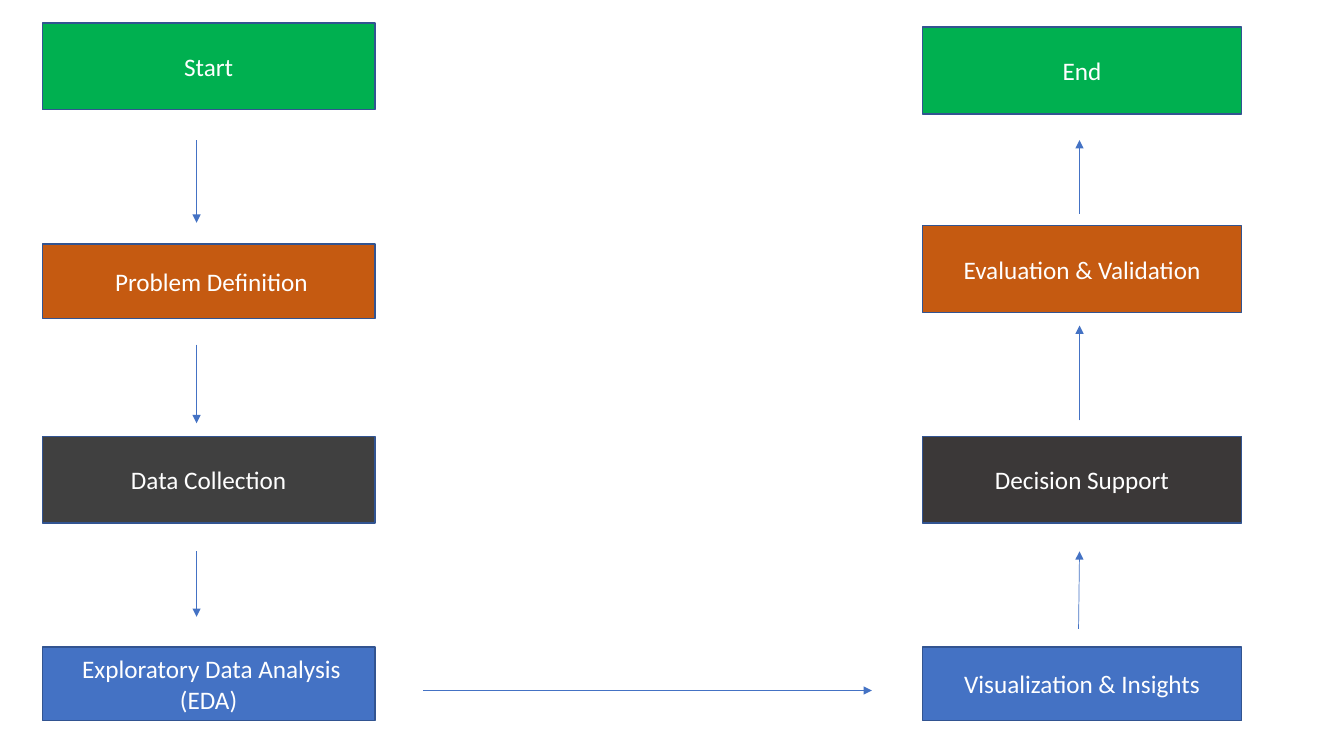
from dataclasses import dataclass

import lxml.etree
import pptx
import pptx.dml.color
import pptx.enum.shapes
import pptx.enum.text
import pptx.oxml.ns
import pptx.shapes.connector
import pptx.slide
import pptx.util

Pt = pptx.util.Pt

GREEN = "00B050"
ORANGE = "C55A11"
BLUE = "4472C4"
OUTLINE = "325491"
WHITE = "FFFFFF"

TALL = 61.92
SHORT = 52.56


@dataclass(frozen=True)
class Column:
    left: float
    width: float


@dataclass(frozen=True)
class Step:
    text: str
    column: Column
    top: float
    height: float
    fill: str


@dataclass(frozen=True)
class Arrow:
    start_x: float
    start_y: float
    end_x: float
    end_y: float


DOWNWARD = Column(30.24, 237.6)
UPWARD = Column(658.8, 228.24)
DOWN_X = 140.4
UP_X = 771.12
ACROSS_Y = 493.2

STEPS = [
    Step("Start", DOWNWARD, 16.56, TALL, GREEN),
    Step(" Problem Definition", DOWNWARD, 174.24, 53.28, ORANGE),
    Step("Data Collection", DOWNWARD, 311.76, TALL, "404040"),
    Step(" Exploratory Data Analysis (EDA)", DOWNWARD, 462.24, SHORT, BLUE),
    Step("Visualization & Insights", UPWARD, 462.24, SHORT, BLUE),
    Step("Decision Support", UPWARD, 311.76, TALL, "3B3838"),
    Step("Evaluation & Validation", UPWARD, 161.28, TALL, ORANGE),
    Step("End", UPWARD, 19.44, TALL, GREEN),
]

ARROWS = [
    Arrow(DOWN_X, 100.08, DOWN_X, 159.12),
    Arrow(DOWN_X, 246.24, DOWN_X, 302.4),
    Arrow(DOWN_X, 393.84, DOWN_X, 440.64),
    Arrow(302.4, ACROSS_Y, 622.8, ACROSS_Y),
    Arrow(770.4, 449.28, UP_X, 393.84),
    Arrow(UP_X, 300.24, UP_X, 232.56),
    Arrow(UP_X, 152.64, UP_X, 100.08),
]


def color(value: str) -> pptx.dml.color.RGBColor:
    return pptx.dml.color.RGBColor.from_string(value)


def draw_step(slide: pptx.slide.Slide, step: Step) -> None:
    shape = slide.shapes.add_shape(
        pptx.enum.shapes.MSO_SHAPE.RECTANGLE,
        Pt(step.column.left), Pt(step.top), Pt(step.column.width), Pt(step.height),
    )
    shape.shadow.inherit = False
    shape.fill.solid()
    shape.fill.fore_color.rgb = color(step.fill)
    shape.line.color.rgb = color(OUTLINE)
    shape.line.width = Pt(1)
    shape.text_frame.word_wrap = True
    shape.text_frame.vertical_anchor = pptx.enum.text.MSO_ANCHOR.MIDDLE
    paragraph = shape.text_frame.paragraphs[0]
    paragraph.text = step.text
    paragraph.alignment = pptx.enum.text.PP_ALIGN.CENTER
    paragraph.font.name = "Calibri"
    paragraph.font.size = Pt(18)
    paragraph.font.color.rgb = color(WHITE)


def add_arrowhead(connector: pptx.shapes.connector.Connector) -> None:
    qualified = pptx.oxml.ns.qn
    properties = connector.element.find(qualified("p:spPr"))
    line = properties.find(qualified("a:ln"))
    lxml.etree.SubElement(line, qualified("a:tailEnd"), type="triangle")
    lxml.etree.SubElement(properties, qualified("a:effectLst"))


def draw_arrow(slide: pptx.slide.Slide, arrow: Arrow) -> None:
    connector = slide.shapes.add_connector(
        pptx.enum.shapes.MSO_CONNECTOR.STRAIGHT,
        Pt(arrow.start_x), Pt(arrow.start_y), Pt(arrow.end_x), Pt(arrow.end_y),
    )
    connector.line.color.rgb = color(BLUE)
    connector.line.width = Pt(0.5)
    add_arrowhead(connector)


def main() -> None:
    presentation = pptx.Presentation()
    presentation.slide_width = Pt(960)
    presentation.slide_height = Pt(540)
    slide = presentation.slides.add_slide(presentation.slide_layouts[6])
    for step in STEPS:
        draw_step(slide, step)
    for arrow in ARROWS:
        draw_arrow(slide, arrow)
    presentation.save("out.pptx")


if __name__ == "__main__":
    main()
